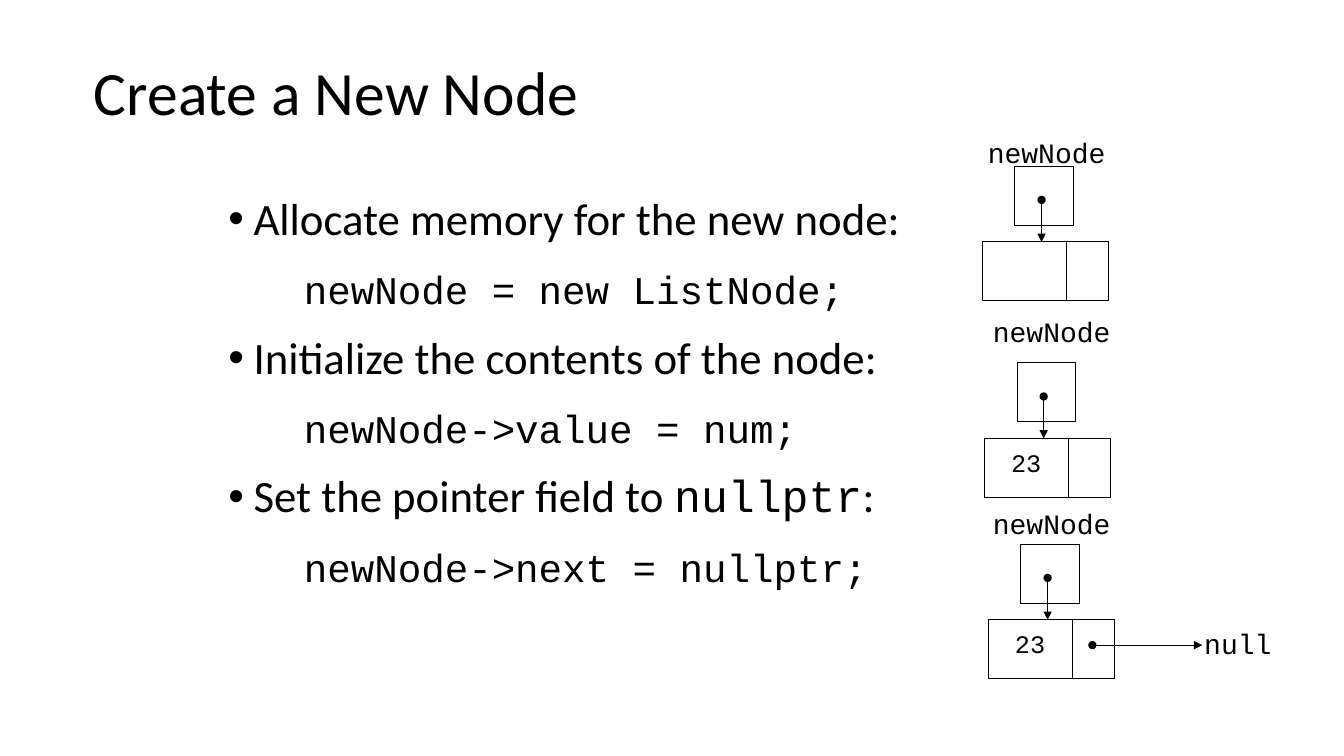
from dataclasses import dataclass

from lxml.etree import SubElement
from pptx import Presentation
from pptx.dml.color import RGBColor
from pptx.enum.shapes import MSO_CONNECTOR as Conn, MSO_SHAPE as Shape
from pptx.enum.text import MSO_ANCHOR as Anchor, PP_ALIGN as Align
from pptx.oxml.ns import qn
from pptx.util import Pt

COLORS = {"ink": "000000", "paper": "FFFFFF"}
SANS, MONO = "Calibri", "Courier New"
LINE_WIDTH = 0.75
BOX = 42  # side of the pointer box and height of a node
NODE_WIDTH, NEXT_WIDTH = 90, 30


@dataclass
class Step:
    text: str
    code: str
    keyword: str = ""
    ending: str = ""


@dataclass
class Diagram:
    x: float
    y: float
    label_x: float
    label_y: float
    value: str = ""
    target: str = ""


STEPS = [
    Step("Allocate memory for the new node:", "newNode = new ListNode;"),
    Step("Initialize the contents of the node:", "newNode->value = num;"),
    Step("Set the pointer field to ", "newNode->next = nullptr;", "nullptr", ":"),
]
DIAGRAMS = [
    Diagram(702, 172.8, 698.4, 98),
    Diagram(703.5, 313.2, 702, 226, "23"),
    Diagram(706.3, 442.8, 702, 363, "23", "null"),
]


def color(name: str) -> RGBColor:
    return RGBColor.from_string(COLORS[name])


def add_run(p, text: str, *, size: float, font: str = SANS) -> None:
    r = p.add_run()
    r.text = text
    r.font.size, r.font.name = Pt(size), font
    r.font.color.rgb = color("ink")


def add_box(s, x: float, y: float, w: float, h: float, *, wrap: bool = True):
    tf = s.shapes.add_textbox(Pt(x), Pt(y), Pt(w), Pt(h)).text_frame
    tf.word_wrap = wrap
    return tf


def add_text(s, text: str, x: float, y: float, w: float, h: float, *,
             size: float, font: str = MONO, spacing: float = 1.0,
             align=Align.CENTER, anchor=Anchor.TOP, wrap: bool = False) -> None:
    tf = add_box(s, x, y, w, h, wrap=wrap)
    tf.vertical_anchor = anchor
    p = tf.paragraphs[0]
    p.alignment, p.line_spacing = align, spacing
    add_run(p, text, size=size, font=font)


def add_rect(s, x: float, y: float, w: float) -> None:
    sp = s.shapes.add_shape(Shape.RECTANGLE, Pt(x), Pt(y), Pt(w), Pt(BOX))
    sp.shadow.inherit = False
    sp.fill.background()
    sp.line.color.rgb = color("ink")
    sp.line.width = Pt(LINE_WIDTH)


def add_arrow(s, x1: float, y1: float, x2: float, y2: float) -> None:
    sp = s.shapes.add_connector(Conn.STRAIGHT, Pt(x1), Pt(y1), Pt(x2), Pt(y2))
    sp.line.color.rgb = color("ink")
    sp.line.width = Pt(LINE_WIDTH)
    ln = sp.line._get_or_add_ln()
    SubElement(ln, qn("a:headEnd"), type="oval")
    SubElement(ln, qn("a:tailEnd"), type="triangle")
    SubElement(sp._element.spPr, qn("a:effectLst"))


def add_steps(s) -> None:
    tf = add_box(s, 156, 136.8, 612.7, 308)
    for i, step in enumerate(STEPS):
        p = tf.add_paragraph() if i else tf.paragraphs[0]
        p.line_spacing = 0.9
        if i:
            p.space_before = Pt(16)
        pPr = p._p.get_or_add_pPr()
        pPr.set("marL", str(Pt(18)))
        pPr.set("indent", str(Pt(-18)))
        SubElement(pPr, qn("a:buFont"), typeface="Arial")
        SubElement(pPr, qn("a:buChar"), char="•")
        add_run(p, step.text, size=32)
        if step.keyword:
            add_run(p, step.keyword, size=32, font=MONO)
            add_run(p, step.ending, size=32)

        p = tf.add_paragraph()
        p.level, p.line_spacing, p.space_before = 1, 0.9, Pt(18.4)
        pPr = p._p.get_or_add_pPr()
        pPr.set("marL", str(Pt(54)))
        pPr.set("indent", "0")
        add_run(p, step.code, size=28, font=MONO)


def add_diagram(s, d: Diagram) -> None:
    # Pointer box, node and its next field
    add_rect(s, d.x + 23, d.y - 54, BOX)
    add_rect(s, d.x, d.y, NODE_WIDTH)
    add_rect(s, d.x + NODE_WIDTH - NEXT_WIDTH, d.y, NEXT_WIDTH)
    add_arrow(s, d.x + 42, d.y - 30, d.x + 42, d.y)
    add_text(s, "newNode", d.label_x, d.label_y, 98.6, 26.6, size=20, spacing=0.8)
    # Stored value and next pointer
    if d.value:
        add_text(s, d.value, d.x + 11.5, d.y + 2.5, 36, 28.8, size=18)
    if d.target:
        add_arrow(s, d.x + 74, d.y + 18, d.x + 152.5, d.y + 18)
        add_text(s, d.target, d.x + 146.2, d.y - 3.6, 63.4, 36.7, size=20, spacing=1.2)


def main() -> None:
    prs = Presentation()
    prs.slide_width, prs.slide_height = Pt(960), Pt(540)
    s = prs.slides.add_slide(prs.slide_layouts[6])
    s.background.fill.solid()
    s.background.fill.fore_color.rgb = color("paper")

    # Title and steps
    add_text(s, "Create a New Node", 60, 16, 828, 104.4, size=44, font=SANS,
             spacing=0.9, align=Align.LEFT, anchor=Anchor.MIDDLE, wrap=True)
    add_steps(s)

    # Node diagrams
    for d in DIAGRAMS:
        add_diagram(s, d)

    prs.save("out.pptx")


if __name__ == "__main__":
    main()
